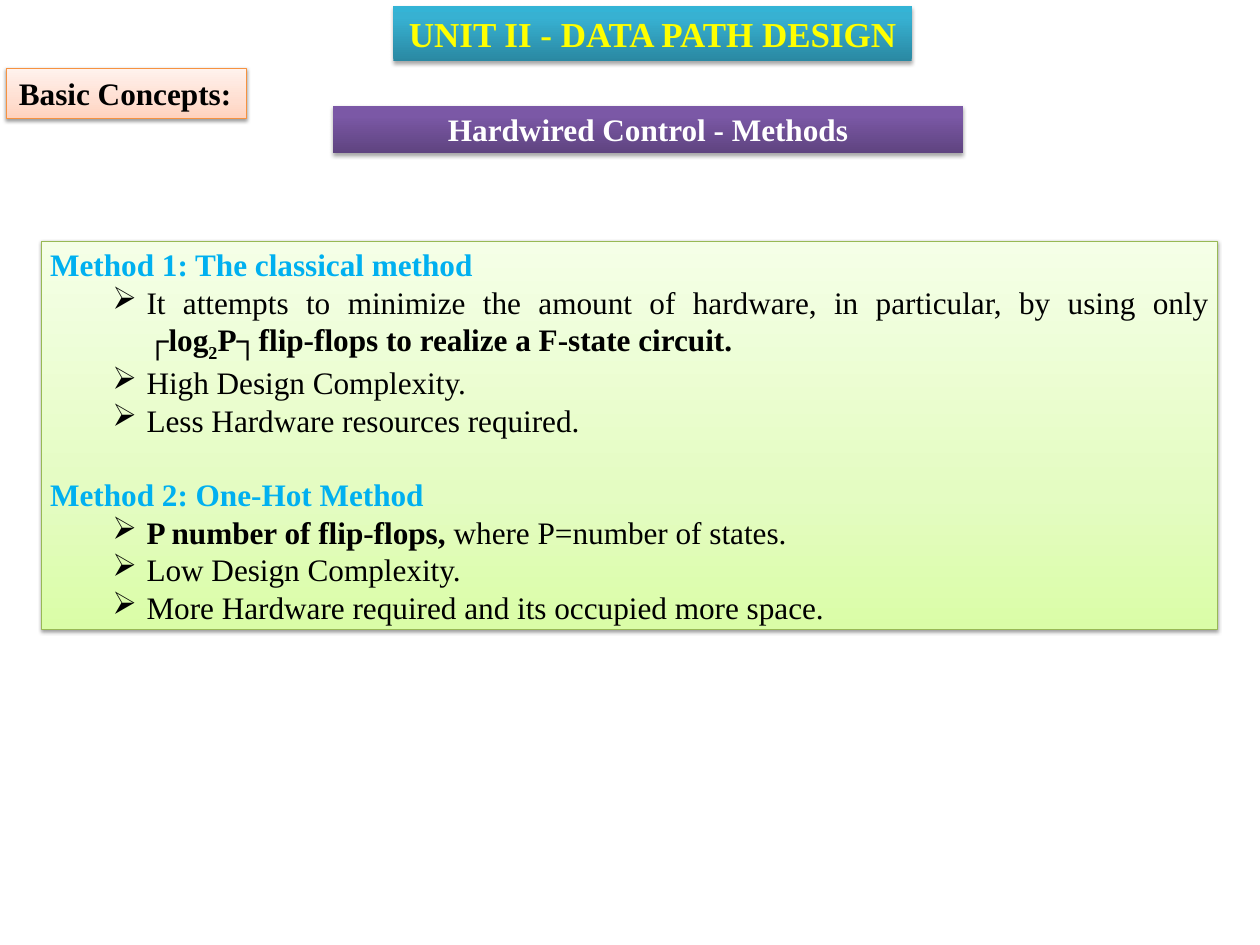
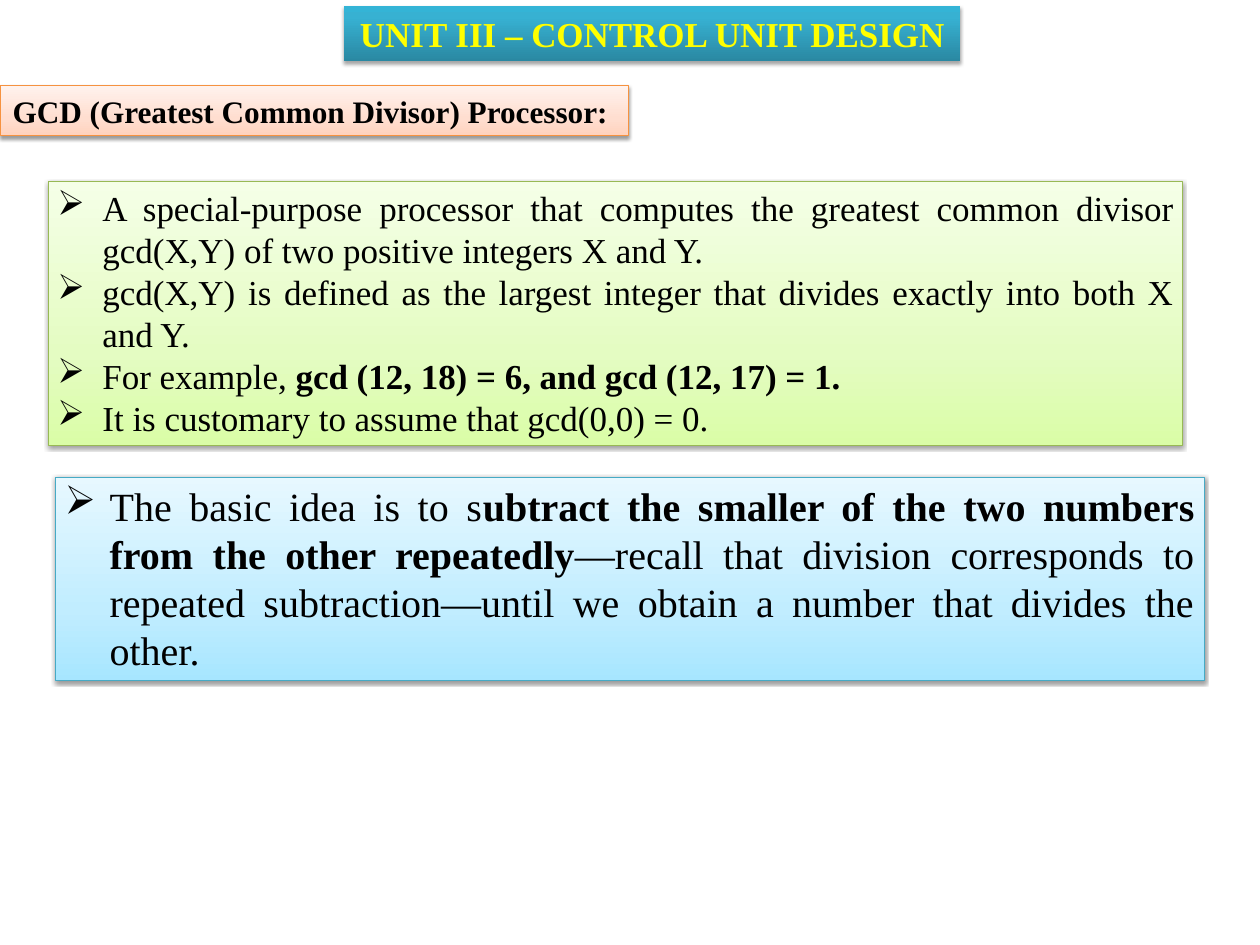
from copy import deepcopy
from dataclasses import dataclass

from lxml.etree import SubElement
from pptx import Presentation
from pptx.dml.color import RGBColor
from pptx.enum.shapes import MSO_SHAPE
from pptx.enum.text import MSO_ANCHOR, MSO_AUTO_SIZE, PP_ALIGN
from pptx.oxml.ns import qn
from pptx.util import Inches, Pt

WIDTH, HEIGHT = Inches(14), Inches(10.5)
COLUMN, ROW = WIDTH / 140, HEIGHT / 105
FONT = "Times New Roman"

BLACK = RGBColor(0x00, 0x00, 0x00)
WHITE = RGBColor(0xFF, 0xFF, 0xFF)
YELLOW = RGBColor(0xFF, 0xFF, 0x00)
SKY = RGBColor(0x00, 0xB0, 0xF0)
ORANGE_EDGE = RGBColor(0xF6, 0x92, 0x40)
GREEN_EDGE = RGBColor(0x98, 0xB9, 0x55)
AQUA_EDGE = RGBColor(0x46, 0xAA, 0xC5)

TEAL = (RGBColor(0x2A, 0x88, 0xA2), RGBColor(0x37, 0xB1, 0xD2), RGBColor(0x34, 0xB4, 0xD6))
PURPLE = (RGBColor(0x5F, 0x44, 0x80), RGBColor(0x7B, 0x58, 0xA6), RGBColor(0x7C, 0x57, 0xA8))
PEACH = (RGBColor(0xFF, 0xD2, 0xBD), RGBColor(0xFF, 0xDE, 0xD0), RGBColor(0xFF, 0xF2, 0xED))
GREEN = (RGBColor(0xDA, 0xFD, 0xA7), RGBColor(0xE4, 0xFC, 0xC2), RGBColor(0xF5, 0xFF, 0xE7))
AQUA = (RGBColor(0xA7, 0xE6, 0xFF), RGBColor(0xC1, 0xED, 0xFF), RGBColor(0xE7, 0xF8, 0xFF))


@dataclass
class Piece:
    """A stretch of text with its own weight and baseline."""
    text: str
    bold: bool = False
    baseline: int = 0


@dataclass
class Line:
    """A paragraph, bulleted when it has a hanging indent."""
    pieces: list
    color: RGBColor = None
    margin: float = 0
    hanging: float = 0
    level: int = 0
    gap: float = 0


def method(name, gap=0):
    """Return the heading line of a method."""
    return Line([Piece(name, True)], color=SKY, gap=gap)


def trait(*pieces):
    """Return a bullet below a method heading."""
    return Line(list(pieces), margin=10.7, hanging=3.8, level=1)


def point(*pieces):
    """Return a top-level bullet."""
    return Line(list(pieces), margin=5, hanging=5)


def add_shadow(shape, opacity, distance):
    """Give a shape a soft shadow straight below it."""
    shape.shadow.inherit = False
    effects = shape._element.spPr.find(qn("a:effectLst"))
    shadow = SubElement(effects, qn("a:outerShdw"), blurRad=str(Pt(3.1)),
                        dist=str(Pt(distance)), dir="5400000", rotWithShape="0")
    tint = SubElement(shadow, qn("a:srgbClr"), val=str(BLACK))
    SubElement(tint, qn("a:alpha"), val=str(opacity * 1000))


def add_panel(slide, box, shades, edge=None):
    """Draw a shaded rectangle, outlined when an edge colour is given."""
    left, top, width, height = box
    panel = slide.shapes.add_shape(MSO_SHAPE.RECTANGLE, round(left * COLUMN), round(top * ROW),
                                   round(width * COLUMN), round(height * ROW))
    panel.fill.gradient()
    stops = panel._element.spPr.find(".//" + qn("a:gsLst"))
    stops.append(deepcopy(stops[0]))
    positions = (0, 0.35, 1) if edge else (0, 0.8, 1)
    for stop, shade, position in zip(panel.fill.gradient_stops, shades, positions):
        stop.color.rgb = shade
        stop.position = position
    panel.fill.gradient_angle = 90
    if edge:
        panel.line.color.rgb = edge
        panel.line.width = Pt(0.75)
        add_shadow(panel, 38, 1.6)
    else:
        panel.line.fill.background()
        add_shadow(panel, 35, 1.8)
    return panel


def write_text(shape, lines, size=25, color=BLACK, align=PP_ALIGN.JUSTIFY,
               inset=(1, 0.5), wrap=True):
    """Fill a shape with formatted lines."""
    frame = shape.text_frame
    frame.word_wrap = wrap
    frame.auto_size = MSO_AUTO_SIZE.SHAPE_TO_FIT_TEXT
    frame.vertical_anchor = MSO_ANCHOR.TOP
    frame.margin_left = frame.margin_right = round(inset[0] * COLUMN)
    frame.margin_top = frame.margin_bottom = round(inset[1] * ROW)
    for index, line in enumerate(lines):
        paragraph = frame.add_paragraph() if index else frame.paragraphs[0]
        paragraph.alignment = align
        paragraph.level = line.level
        if line.gap:
            paragraph.space_before = Pt(line.gap)
        properties = paragraph._p.get_or_add_pPr()
        properties.set("marL", str(round(line.margin * COLUMN)))
        properties.set("indent", str(round(-line.hanging * COLUMN)))
        if line.hanging:
            SubElement(properties, qn("a:buChar"), char="➢")
        for piece in line.pieces:
            run = paragraph.add_run()
            run.text = piece.text
            run.font.name = FONT
            run.font.size = Pt(size)
            run.font.bold = piece.bold
            run.font.color.rgb = line.color or color
            if piece.baseline:
                run._r.get_or_add_rPr().set("baseline", str(piece.baseline * 1000))


def add_unit_title(slide, box, title):
    """Place the unit title band."""
    write_text(add_panel(slide, box, TEAL), [Line([Piece(title, True)])], size=28,
               color=YELLOW, align=PP_ALIGN.CENTER, inset=(1.4, 0.7), wrap=False)


def add_topic(slide, box, topic):
    """Place the topic label at the left edge."""
    write_text(add_panel(slide, box, PEACH, ORANGE_EDGE), [Line([Piece(topic, True)])],
               align=PP_ALIGN.LEFT, inset=(1.4, 0.7), wrap=False)


def add_subtitle(slide, box, subtitle):
    """Place the purple subtitle band."""
    write_text(add_panel(slide, box, PURPLE), [Line([Piece(subtitle, True)])],
               color=WHITE, align=PP_ALIGN.CENTER)


def add_notes_panel(slide, box, lines, size, shades=GREEN, edge=GREEN_EDGE):
    """Place a shaded panel of justified lines."""
    write_text(add_panel(slide, box, shades, edge), lines, size=size)


def build_methods(slide):
    """Build the slide on hardwired control methods."""
    add_topic(slide, (0.7, 7.6, 26.7, 5.6), "Basic Concepts:")
    add_unit_title(slide, (43.7, 0.7, 57.6, 6.1), "UNIT II - DATA PATH DESIGN")
    add_subtitle(slide, (37, 11.8, 70, 5.2), "Hardwired Control - Methods")
    add_notes_panel(slide, (4.6, 26.8, 130.7, 43.1), [
        method("Method 1: The classical method"),
        trait(Piece("It attempts to minimize the amount of hardware, in particular, by using only "),
              Piece("┌log", True), Piece("2", True, -25),
              Piece("P┐flip-flops to realize a F-state circuit.", True)),
        trait(Piece("High Design Complexity.")),
        trait(Piece("Less Hardware resources required.")),
        method("Method 2: One-Hot Method", gap=30),
        trait(Piece("P number of flip-flops,", True), Piece(" where P=number of states.")),
        trait(Piece("Low Design Complexity.")),
        trait(Piece("More Hardware required and its occupied more space.")),
    ], size=25)


def build_gcd(slide):
    """Build the slide on the GCD processor."""
    add_topic(slide, (0, 9.5, 69.8, 5.6), "GCD (Greatest Common Divisor) Processor:")
    add_unit_title(slide, (38.2, 0.7, 68.5, 6.1), "UNIT III – CONTROL UNIT DESIGN")
    add_notes_panel(slide, (5.4, 20.2, 126, 29.3), [
        point(Piece("A special-purpose processor that computes the greatest common divisor "
                    "gcd(X,Y) of two positive integers X and Y.")),
        point(Piece("gcd(X,Y) is defined as the largest integer that divides exactly "
                    "into both X and Y.")),
        point(Piece("For example, "), Piece("gcd (12, 18) = 6, and gcd (12, 17) = 1.", True)),
        point(Piece("It is customary to assume that gcd(0,0) = 0.")),
    ], size=28)
    add_notes_panel(slide, (6.2, 53, 127.6, 22.6), [
        point(Piece("The basic idea is to s"),
              Piece("ubtract the smaller of the two numbers from the other repeatedly", True),
              Piece("—recall that division corresponds to repeated subtraction—until we "
                    "obtain a number that divides the other.")),
    ], size=32, shades=AQUA, edge=AQUA_EDGE)


def main():
    """Build and save the presentation."""
    deck = Presentation()
    deck.slide_width, deck.slide_height = WIDTH, HEIGHT
    for build in (build_methods, build_gcd):
        build(deck.slides.add_slide(deck.slide_layouts[6]))
    deck.save("out.pptx")


if __name__ == "__main__":
    main()
